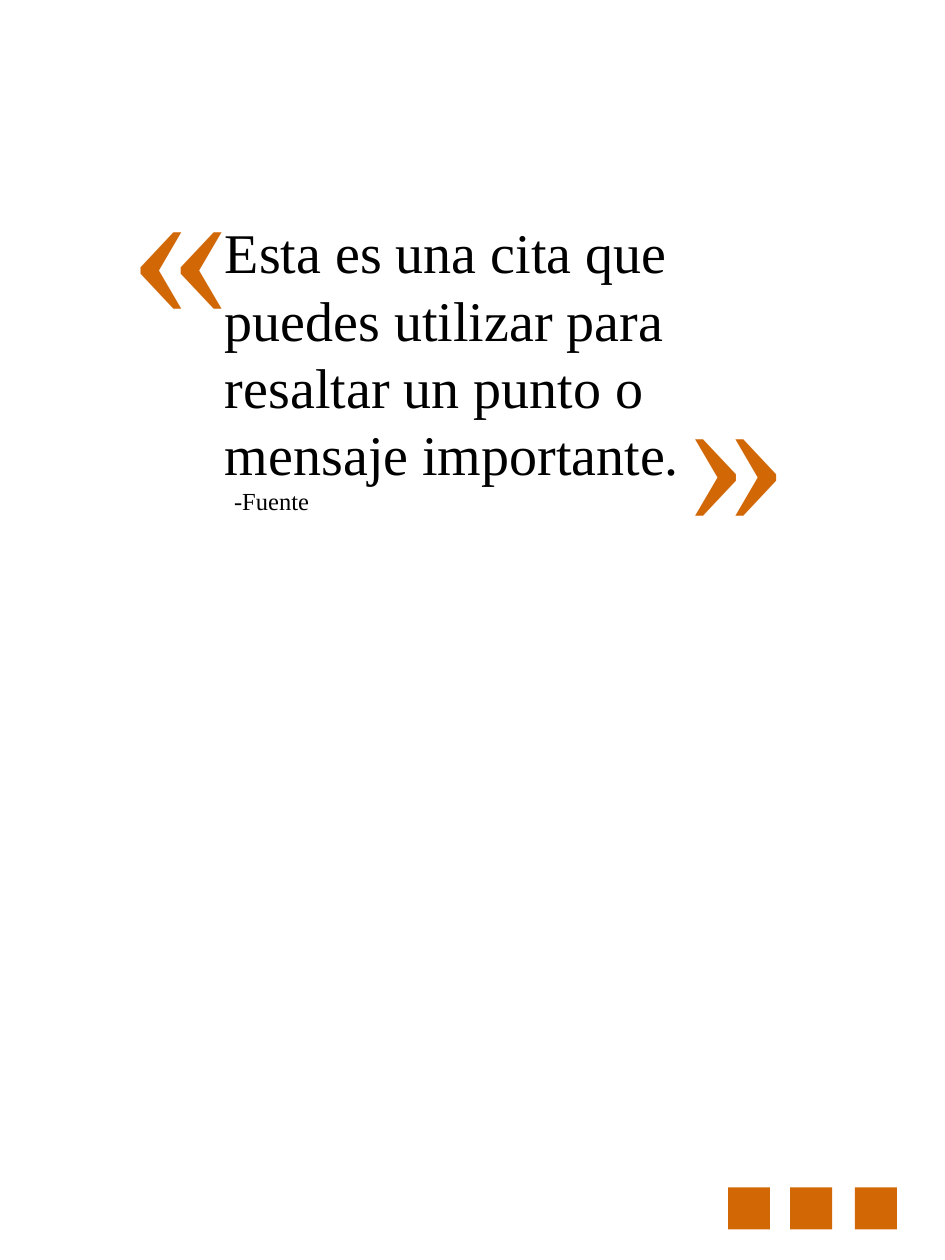
import pptx
import pptx.dml.color
import pptx.enum.shapes
import pptx.util

Pt = pptx.util.Pt
ORANGE = pptx.dml.color.RGBColor(0xD2, 0x67, 0x06)
BLACK = pptx.dml.color.RGBColor(0, 0, 0)


class QuotePage:
    """Style of the page and the slide being built."""

    font = "Times New Roman"

    def __init__(self, s):
        self.s = s

    def text(self, x, y, w, h, text, size, color=BLACK):
        tf = self.s.shapes.add_textbox(Pt(x), Pt(y), Pt(w), Pt(h)).text_frame
        tf.word_wrap = True
        p = tf.paragraphs[0]
        p.text = text
        p.font.name = self.font
        p.font.size = Pt(size)
        p.font.color.rgb = color

    def square(self, x, y, side):
        sp = self.s.shapes.add_shape(
            pptx.enum.shapes.MSO_SHAPE.RECTANGLE, Pt(x), Pt(y), Pt(side), Pt(side))
        sp.shadow.inherit = False
        sp.fill.solid()
        sp.fill.fore_color.rgb = ORANGE
        sp.line.fill.background()


def main():
    prs = pptx.Presentation()
    prs.slide_width, prs.slide_height = Pt(540), Pt(720)
    page = QuotePage(prs.slides.add_slide(prs.slide_layouts[6]))

    # Plain squares for the social links
    for x in (416, 451.5, 488.5):
        page.square(x, 678.5, 24)

    # Quotation between its marks
    page.text(67, 62.6, 160.5, 145.5, "«", 115, ORANGE)
    page.text(121.5, 121, 318, 199.5,
              "Esta es una cita que puedes utilizar para resaltar "
              "un punto o mensaje importante.", 32)
    page.text(386, 180.7, 160.5, 145.5, "»", 115, ORANGE)

    # Source of the quotation
    page.text(126.7, 274.3, 62.6, 41, "-Fuente", 14)

    prs.save("out.pptx")


if __name__ == "__main__":
    main()
